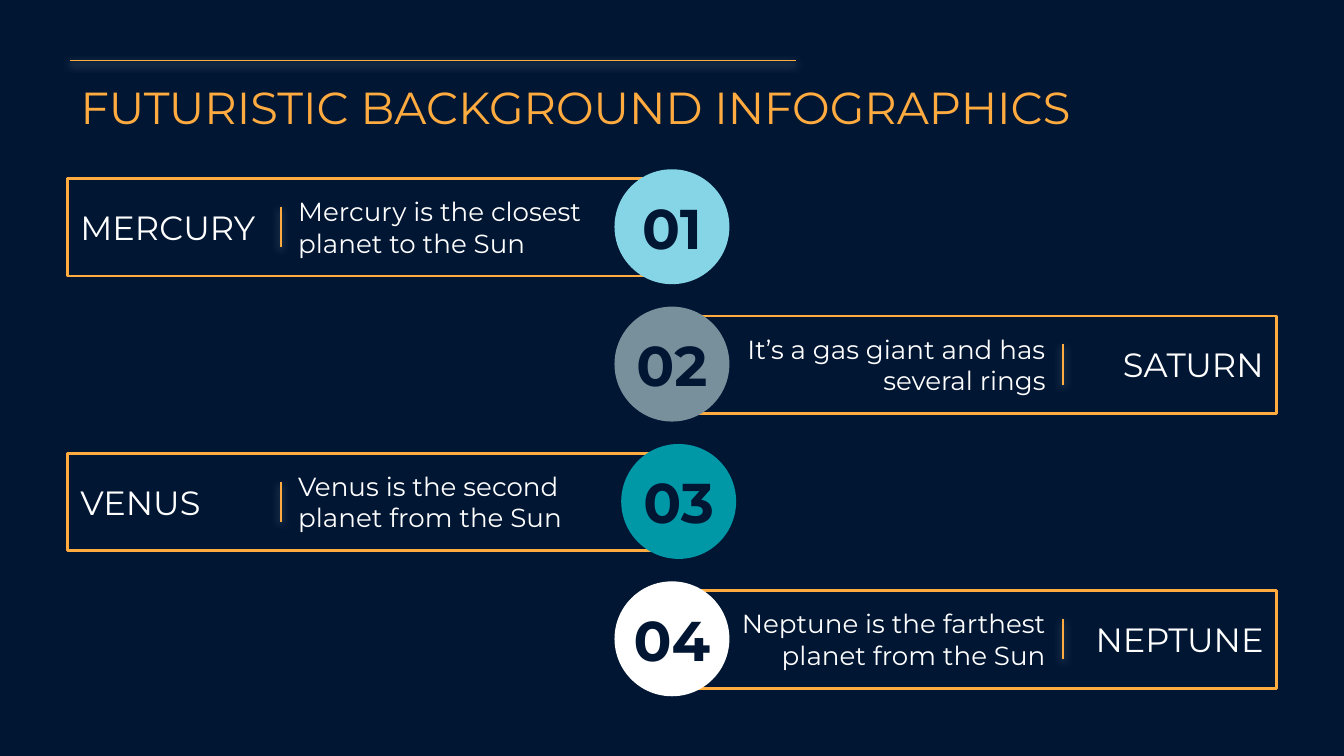
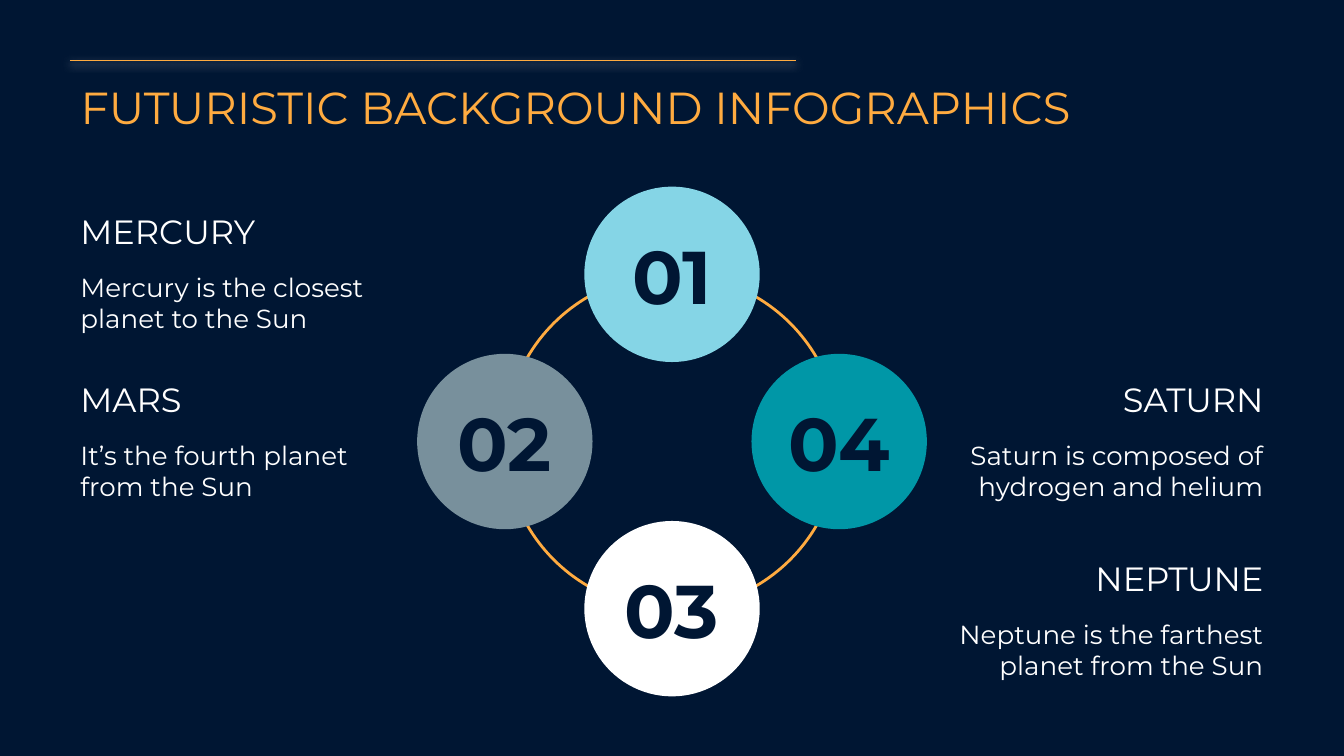
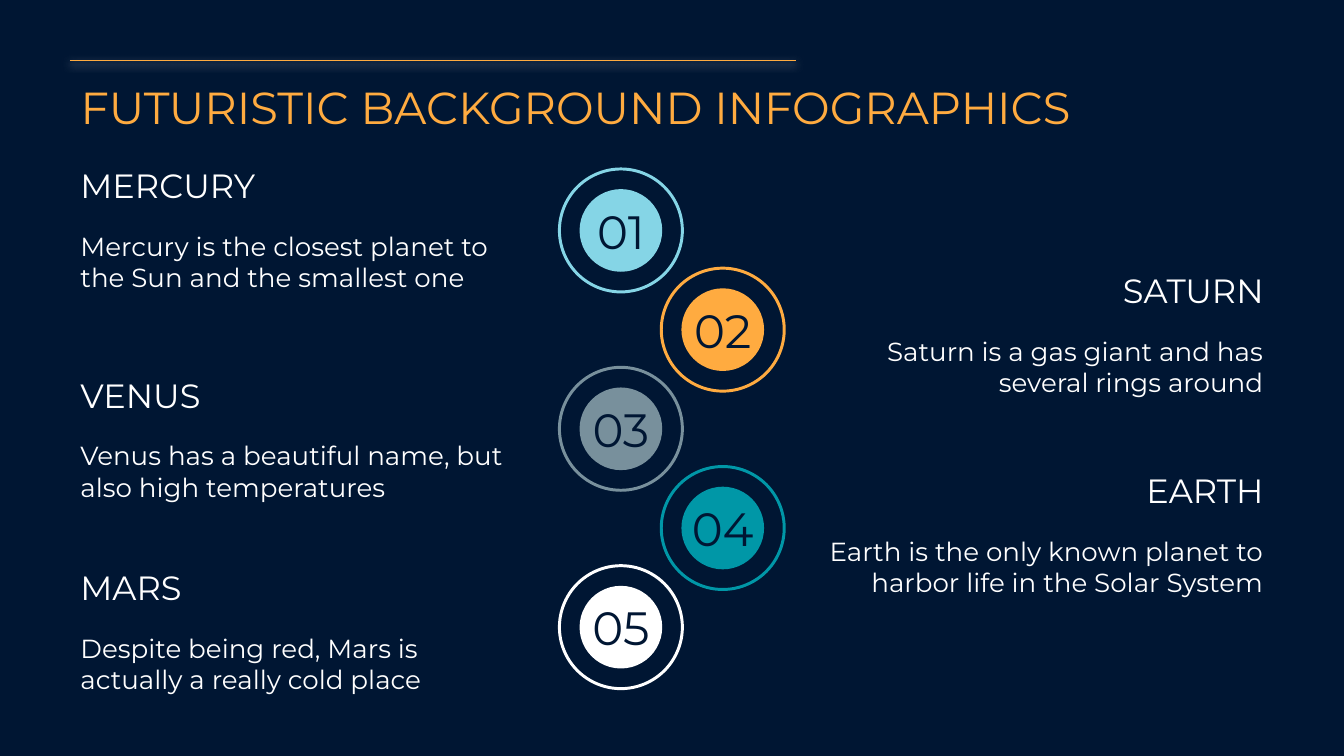
from math import cos, pi, sin

from lxml import etree
from pptx import Presentation
from pptx.dml.color import RGBColor
from pptx.enum.shapes import MSO_CONNECTOR, MSO_SHAPE
from pptx.enum.text import MSO_ANCHOR, MSO_AUTO_SIZE, PP_ALIGN
from pptx.oxml import parse_xml
from pptx.util import Inches, Pt

OVAL, RECT = MSO_SHAPE.OVAL, MSO_SHAPE.RECTANGLE
STRAIGHT = MSO_CONNECTOR.STRAIGHT
TOP, MID, LOW = MSO_ANCHOR.TOP, MSO_ANCHOR.MIDDLE, MSO_ANCHOR.BOTTOM
LEFT, MIDST, RIGHT = PP_ALIGN.LEFT, PP_ALIGN.CENTER, PP_ALIGN.RIGHT
FIXED = MSO_AUTO_SIZE.NONE

COLS, ROWS = 100, 56.25
CELL = Inches(10) / COLS
EDGE = 5
FONT = "Montserrat"
TITLE = "FUTURISTIC BACKGROUND INFOGRAPHICS"
HUES = {
    "navy": "001633",
    "gold": "FFAB40",
    "sky": "85D5E6",
    "slate": "78909C",
    "teal": "0097A7",
    "white": "FFFFFF",
}
DRAW = "http://schemas.openxmlformats.org/drawingml/2006/main"


def cells(*spans):
    return [round(span * CELL) for span in spans]


def hue(name):
    return RGBColor.from_string(HUES[name])


def write(shape, text, size=14, tint="white", bold=False, align=LEFT, anchor=TOP, wrap=True):
    frame = shape.text_frame
    frame.word_wrap = wrap
    frame.auto_size = FIXED
    frame.vertical_anchor = anchor
    frame.margin_left = frame.margin_right = Inches(0.1)
    frame.margin_top = frame.margin_bottom = Inches(0.1)
    para = frame.paragraphs[0]
    para.alignment = align
    run = para.add_run()
    run.text = text
    font = run.font
    font.name, font.size, font.bold = FONT, Pt(size), bold
    font.color.rgb = hue(tint)


def label(slide, box, text, **style):
    write(slide.shapes.add_textbox(*cells(*box)), text, **style)


def shape(slide, kind, box, fill=None, line=None, width=1.5):
    form = slide.shapes.add_shape(kind, *cells(*box))
    form.shadow.inherit = False
    if fill:
        form.fill.solid()
        form.fill.fore_color.rgb = hue(fill)
    else:
        form.fill.background()
    if line:
        form.line.color.rgb = hue(line)
        form.line.width = Pt(width)
    else:
        form.line.fill.background()
    return form


def disc(slide, x, y, wide, **style):
    return shape(slide, OVAL, (x - wide / 2, y - wide / 2, wide, wide), **style)


def badge(slide, x, y, wide, num, fill, size, bold=True):
    write(disc(slide, x, y, wide, fill=fill), f"{num:02}", size=size, tint="navy",
          bold=bold, align=MIDST, anchor=MID, wrap=False)


def glow(slide, *ends):
    line = slide.shapes.add_connector(STRAIGHT, *cells(*ends))
    line.line.color.rgb = hue("gold")
    line.line.width = Pt(0.75)
    halo = parse_xml(
        f'<a:effectLst xmlns:a="{DRAW}"><a:outerShdw blurRad="{Pt(4.5)}" dist="{Pt(1.5)}" '
        f'dir="5400000" algn="bl" rotWithShape="0"><a:srgbClr val="{HUES["white"]}"/></a:outerShdw></a:effectLst>')
    etree.SubElement(halo[0][0], f"{{{DRAW}}}alpha").set("val", "50000")
    line._element.spPr.append(halo)


def page(deck):
    slide = deck.slides.add_slide(deck.slide_layouts[5])
    glow(slide, 5.2, 4.5, 59.2, 4.5)
    title = slide.shapes.title
    title.left, title.top, title.width, title.height = cells(EDGE, 4.9, 87.5, 5.2)
    write(title, TITLE, size=24, tint="gold")
    return slide


def banner(slide, box, num, name, fact, fill, shift=0):
    x, y, wide, high = box
    right = x >= COLS / 2
    shape(slide, RECT, box, line="gold")
    badge(slide, COLS / 2 + shift, y + high / 2 - 0.05, 8.55, num, fill, 30)
    head, body, gap = 16.2, 26.1, 0.6
    if right:
        end = x + wide
        spots = end - head, end - head - body, end - head + gap / 2
    else:
        spots = x, x + head, x + head - gap / 2
    side = RIGHT if right else LEFT
    label(slide, (spots[0], y + gap, head, 6), name, size=18, align=side, anchor=MID)
    label(slide, (spots[1], y + gap, body, 6), fact, align=side, anchor=MID)
    glow(slide, spots[2], y + 2.1, spots[2], y + 5.1)


def note(slide, right, y, wide, drop, name, fact):
    x = COLS - EDGE - wide if right else EDGE
    side = RIGHT if right else LEFT
    label(slide, (x, y, wide, 6), name, size=18, align=side, anchor=LOW)
    label(slide, (x, y + drop, wide, 6.6), fact, align=side)


def ladder(deck):
    slide = page(deck)
    steps = [
        ("MERCURY", "Mercury is the closest planet to the Sun", "sky", 0),
        ("SATURN", "It’s a gas giant and has several rings", "slate", 0),
        ("VENUS", "Venus is the second planet from the Sun", "teal", 0.5),
        ("NEPTUNE", "Neptune is the farthest planet from the Sun", "white", 0),
    ]
    half = COLS / 2 - EDGE
    for i, step in enumerate(steps):
        banner(slide, (EDGE + i % 2 * half, 13.3 + 10.22 * i, half, 7.25), i + 1, *step)


def wheel(deck):
    slide = page(deck)
    x, y, reach = COLS / 2, 32.85, 12.44
    disc(slide, x, y, 2 * reach, line="gold")
    for i, fill in enumerate(("sky", "slate", "white", "teal")):
        turn = i * pi / 2
        badge(slide, x - reach * sin(turn), y - reach * cos(turn), 13.05, i + 1, fill, 40)
    notes = [
        (False, 13.7, "MERCURY", "Mercury is the closest planet to the Sun"),
        (False, 26.2, "MARS", "It’s the fourth planet from the Sun"),
        (True, 26.2, "SATURN", "Saturn is composed of hydrogen and helium"),
        (True, 39.5, "NEPTUNE", "Neptune is the farthest planet from the Sun"),
    ]
    for right, top, *words in notes:
        note(slide, right, top, 26, 5.5, *words)


def chain(deck):
    slide = page(deck)
    links = [
        (10.3, "sky", "MERCURY", "Mercury is the closest planet to the Sun and the smallest one"),
        (18.1, "gold", "SATURN", "Saturn is a gas giant and has several rings around"),
        (25.9, "slate", "VENUS", "Venus has a beautiful name, but also high temperatures"),
        (33, "teal", "EARTH", "Earth is the only known planet to harbor life in the Solar System"),
        (40.2, "white", "MARS", "Despite being red, Mars is actually a really cold place"),
    ]
    for i, (top, fill, *words) in enumerate(links):
        right = i % 2
        x, y = 46.2 + 7.58 * right, 17.15 + 7.38 * i
        disc(slide, x, y, 9.15, line=fill, width=1.6)
        badge(slide, x, y, 6.15, i + 1, fill, 25, bold=False)
        note(slide, right, top, 34.5, 5.83, *words)


def main():
    deck = Presentation()
    deck.slide_width, deck.slide_height = cells(COLS, ROWS)
    back = deck.slide_master.background.fill
    back.solid()
    back.fore_color.rgb = hue("navy")
    for build in (ladder, wheel, chain):
        build(deck)
    deck.save("out.pptx")


if __name__ == "__main__":
    main()
